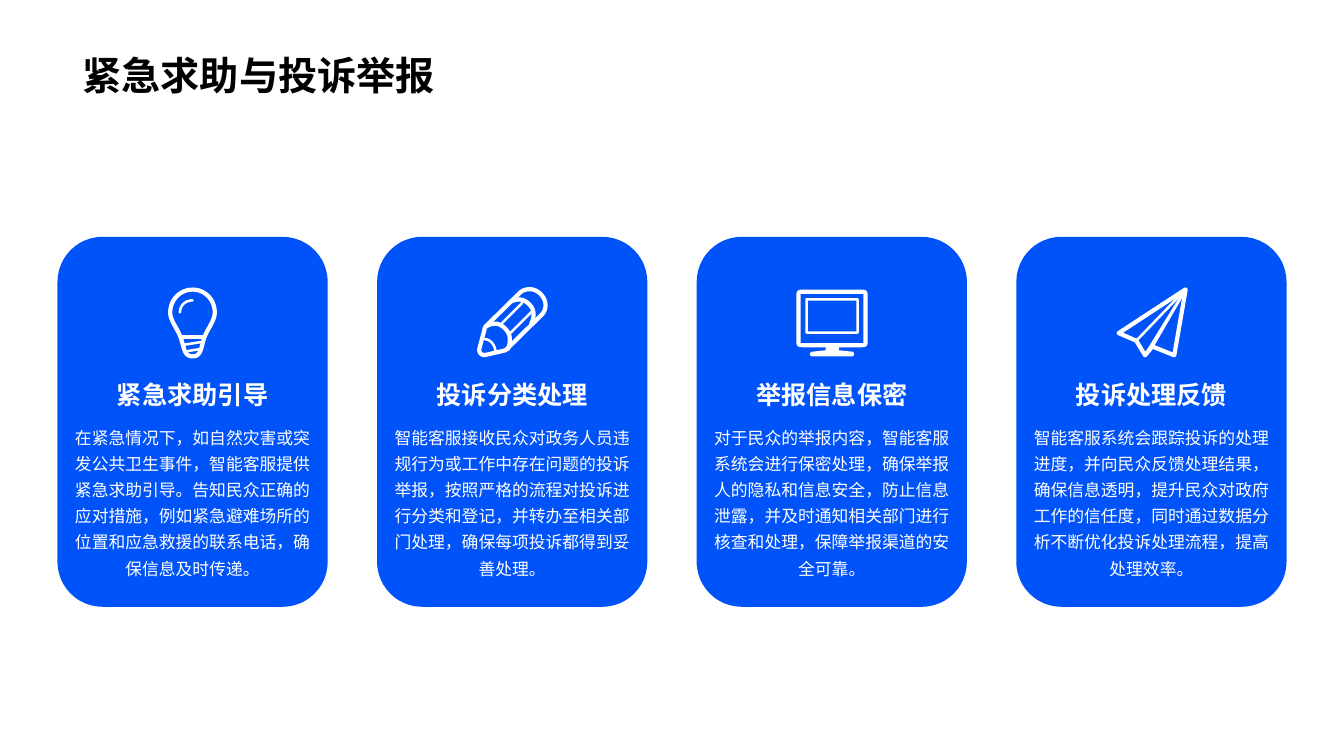
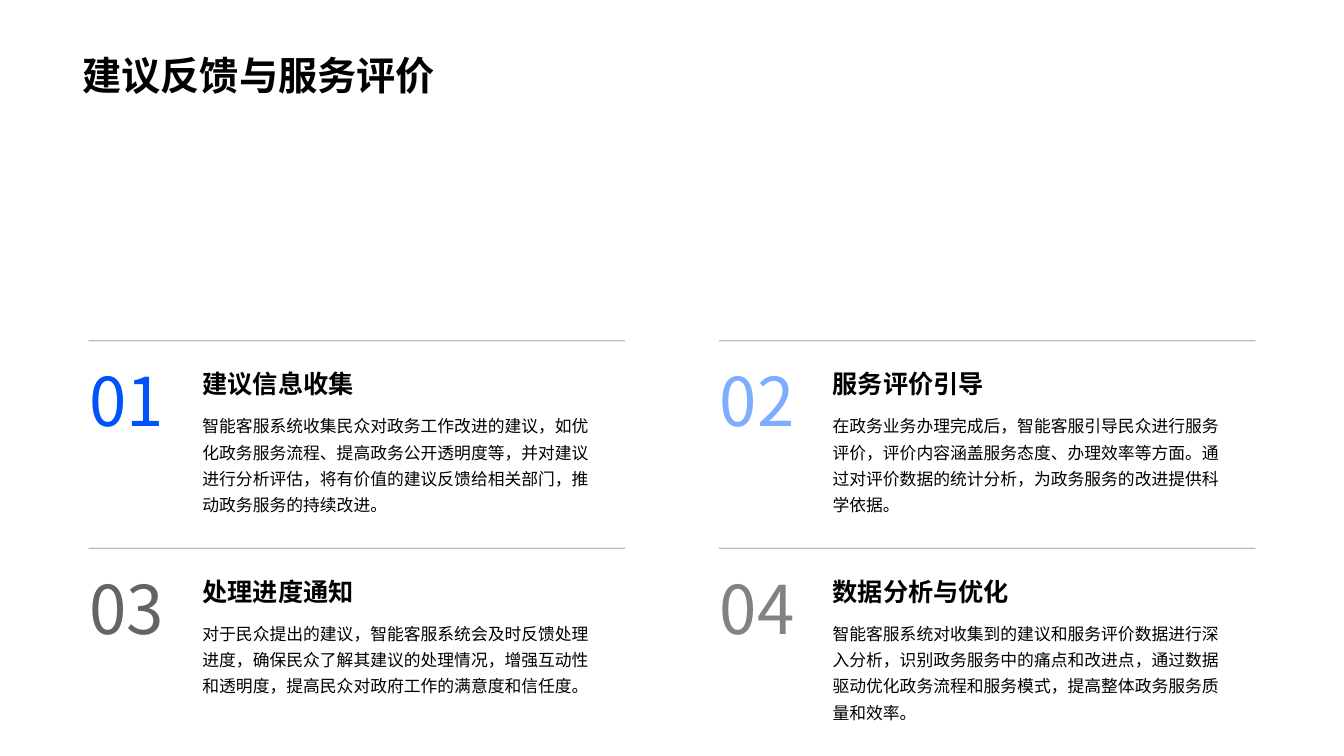
from lxml import etree
from pptx import Presentation
from pptx.dml.color import RGBColor
from pptx.enum.shapes import MSO_CONNECTOR as CONN, MSO_SHAPE as SHAPE
from pptx.enum.text import MSO_ANCHOR as ANCHOR, PP_ALIGN as ALIGN
from pptx.oxml.ns import qn
from pptx.util import Inches, Pt

# Shared style
FONT = "Noto Sans CJK JP"
BLACK = RGBColor(0x00, 0x00, 0x00)
WHITE = RGBColor(0xFF, 0xFF, 0xFF)
BLUE = RGBColor(0x00, 0x53, 0xF9)
SKY = RGBColor(0x7D, 0xAD, 0xFF)
DARK_GREY = RGBColor(0x64, 0x64, 0x64)
MID_GREY = RGBColor(0x82, 0x82, 0x82)
RULE_GREY = RGBColor(0x80, 0x80, 0x80)
TITLE_SIZE, NUMBER_SIZE, HEAD_SIZE, BODY_SIZE = 28, 48, 18, 12
HEAD_H = 0.43

# Content
CARDS_TITLE = "紧急求助与投诉举报"
CARDS = [
    ("bulb", "紧急求助引导",
     "在紧急情况下，如自然灾害或突发公共卫生事件，智能客服提供紧急求助引导。"
     "告知民众正确的应对措施，例如紧急避难场所的位置和应急救援的联系电话，确保信息及时传递。"),
    ("pencil", "投诉分类处理",
     "智能客服接收民众对政务人员违规行为或工作中存在问题的投诉举报，"
     "按照严格的流程对投诉进行分类和登记，并转办至相关部门处理，确保每项投诉都得到妥善处理。"),
    ("monitor", "举报信息保密",
     "对于民众的举报内容，智能客服系统会进行保密处理，确保举报人的隐私和信息安全，"
     "防止信息泄露，并及时通知相关部门进行核查和处理，保障举报渠道的安全可靠。"),
    ("plane", "投诉处理反馈",
     "智能客服系统会跟踪投诉的处理进度，并向民众反馈处理结果，确保信息透明，"
     "提升民众对政府工作的信任度，同时通过数据分析不断优化投诉处理流程，提高处理效率。"),
]
ITEMS_TITLE = "建议反馈与服务评价"
ITEMS = [
    (BLUE, "建议信息收集",
     "智能客服系统收集民众对政务工作改进的建议，如优化政务服务流程、提高政务公开透明度等，"
     "并对建议进行分析评估，将有价值的建议反馈给相关部门，推动政务服务的持续改进。"),
    (SKY, "服务评价引导",
     "在政务业务办理完成后，智能客服引导民众进行服务评价，评价内容涵盖服务态度、办理效率等方面。"
     "通过对评价数据的统计分析，为政务服务的改进提供科学依据。"),
    (DARK_GREY, "处理进度通知",
     "对于民众提出的建议，智能客服系统会及时反馈处理进度，确保民众了解其建议的处理情况，"
     "增强互动性和透明度，提高民众对政府工作的满意度和信任度。"),
    (MID_GREY, "数据分析与优化",
     "智能客服系统对收集到的建议和服务评价数据进行深入分析，识别政务服务中的痛点和改进点，"
     "通过数据驱动优化政务流程和服务模式，提高整体政务服务质量和效率。"),
]


def rounded(l, t, r, b, c):
    """Outline of a rounded rectangle with corner size c."""
    return [(l + c, t), (r - c, t), (r, t, r, t, r, t + c), (r, b - c),
            (r, b, r, b, r - c, b), (l + c, b), (l, b, l, b, l, b - c),
            (l, t + c), (l, t, l, t, l + c, t)]


# Icons on a 70 x 70 grid: (line width, points); six numbers are a cubic
# curve, and width 0 means a filled outline
THICK, THIN = 3, 1.8
ICONS = {
    "bulb": [
        (THICK, [(35, 2.3), (23, 2.3, 12.8, 12, 12.8, 25),
                 (12.8, 33, 20, 41, 23.3, 50), (27, 62, 27, 68.5, 35, 68.5),
                 (43, 68.5, 43, 62, 46.5, 50), (50, 41, 57, 33, 57, 25),
                 (57, 12, 47, 2.3, 35, 2.3)]),
        (THICK, [(24, 49), (46, 49)]),
        (THIN, [(27, 57), (43, 54.5)]),
        (THIN, [(29, 63.5), (41, 61.5)]),
        (THIN, [(22.5, 25), (22.5, 18, 28, 13, 35, 13)]),
    ],
    "pencil": [
        (THICK, [(8.5, 39), (42.5, 5.5), (48, 0.5, 57, 0.5, 63, 6.5),
                 (69.5, 13, 69.5, 21.5, 64.5, 27), (30.5, 60.5),
                 (29.5, 61.5, 29, 62.3, 28, 62.6), (9, 67),
                 (5, 68, 1.5, 65, 2.5, 60.5), (7.5, 42),
                 (7.5, 41, 8, 40, 8.5, 39)]),
        (THICK, [(34, 14), (43, 10, 48, 13, 52, 17),
                 (56, 21, 58, 27, 54, 36)]),
        (THICK, [(9, 39), (17, 34, 23, 36, 28, 41),
                 (33, 46, 34, 52, 31, 61)]),
        (THIN, [(24, 36.5), (45, 15.5)]),
        (THIN, [(33.5, 45), (54, 24.5)]),
        (THIN, [(7, 51.5), (12, 51, 18, 56, 18.5, 64)]),
    ],
    "monitor": [
        (THICK, rounded(2, 4.5, 68.5, 57.5, 5)),
        (THIN, rounded(10, 12, 60.5, 45, 1)),
        (0, [(29, 59), (42, 59), (42, 62.5), (56, 64),
             (58, 66, 57, 68.5, 55, 68.5), (16, 68.5),
             (12.5, 68.5, 12.5, 65, 15, 64), (29, 62.5), (29, 59)]),
    ],
    "plane": [
        (THICK, [(69, 2), (2.5, 45.5), (20, 53), (28.7, 67.5), (36, 58.8),
                 (57.7, 67.5), (69, 2)]),
        (THIN, [(20, 53), (69, 2)]),
        (THIN, [(29, 67), (69, 2)]),
        (THIN, [(36, 58.8), (69, 2)]),
    ],
}


def add_text(slide, box, text, size, color=BLACK, bold=False,
             align=ALIGN.LEFT, anchor=ANCHOR.MIDDLE, spacing=None, wrap=True):
    tf = slide.shapes.add_textbox(*map(Inches, box)).text_frame
    tf.word_wrap = wrap
    tf.vertical_anchor = anchor
    p = tf.paragraphs[0]
    p.text = text
    p.alignment = align
    if spacing:
        p.line_spacing = spacing
    r = p.runs[0]
    r.font.size, r.font.bold, r.font.name = Pt(size), bold, FONT
    r.font.color.rgb = color
    etree.SubElement(r.font._element, qn("a:ea")).set("typeface", FONT)


def add_entry(slide, x, y, width, body_h, head, body, color, align):
    """Bold heading with its paragraph right below."""
    add_text(slide, (x, y, width, HEAD_H), head, HEAD_SIZE, color, True, align)
    add_text(slide, (x, y + HEAD_H, width, body_h), body, BODY_SIZE, color,
             align=align, anchor=ANCHOR.TOP, spacing=1.3)


def flatten(points, steps=12):
    """Replace the cubic curves by short straight pieces."""
    flat = [points[0]]
    for pt in points[1:]:
        if len(pt) == 2:
            flat.append(pt)
            continue
        ctrl = [flat[-1], pt[:2], pt[2:4], pt[4:]]
        for i in range(1, steps + 1):
            t = i / steps
            weights = ((1 - t) ** 3, 3 * t * (1 - t) ** 2,
                       3 * t * t * (1 - t), t ** 3)
            flat.append(tuple(sum(w * c[k] for w, c in zip(weights, ctrl))
                              for k in (0, 1)))
    return flat


def add_icon(slide, name, x, y):
    for width, points in ICONS[name]:
        pts = [(Inches(x + px / 100), Inches(y + py / 100))
               for px, py in flatten(points)]
        builder = slide.shapes.build_freeform(*pts[0])
        builder.add_line_segments(pts[1:], close=points[0] == points[-1][-2:])
        s = builder.convert_to_shape()
        s.shadow.inherit = False
        if not width:
            s.fill.solid()
            s.fill.fore_color.rgb = WHITE
            s.line.fill.background()
            continue
        s.fill.background()
        s.line.color.rgb = WHITE
        s.line.width = Pt(width)
        ln = s._element.spPr.find(qn("a:ln"))
        ln.set("cap", "rnd")
        etree.SubElement(ln, qn("a:round"))


def add_rule(slide, x, y, width):
    s = slide.shapes.add_connector(
        CONN.STRAIGHT, *map(Inches, (x, y, x + width, y)))
    s.line.color.rgb = RULE_GREY
    s.line.width = Pt(1)
    sp_pr = s._element.spPr
    clr = next(sp_pr.iter(qn("a:srgbClr")))
    etree.SubElement(clr, qn("a:alpha")).set("val", "50000")
    etree.SubElement(sp_pr, qn("a:effectLst"))


def new_slide(prs, title):
    slide = prs.slides.add_slide(prs.slide_layouts[6])
    add_text(slide, (0.72, 0.46, 11.67, 0.57), title, TITLE_SIZE, bold=True)
    return slide


def build_cards(prs):
    slide = new_slide(prs, CARDS_TITLE)
    left, top, width, height, pitch = 0.57, 2.35, 2.68, 3.67, 3.17
    for i, (icon, head, body) in enumerate(CARDS):
        x = left + i * pitch
        s = slide.shapes.add_shape(
            SHAPE.ROUNDED_RECTANGLE, *map(Inches, (x, top, width, height)))
        s.shadow.inherit = False
        s.fill.solid()
        s.fill.fore_color.rgb = BLUE
        s.line.fill.background()
        add_icon(slide, icon, x + width / 2 - 0.35, top + 0.5)
        add_entry(slide, x, top + 1.35, width, 1.89, head, body, WHITE,
                  ALIGN.CENTER)


def build_items(prs):
    slide = new_slide(prs, ITEMS_TITLE)
    left, top, col_pitch, row_pitch = 0.88, 3.38, 6.25, 2.06
    for i, (color, head, body) in enumerate(ITEMS):
        row, col = divmod(i, 2)
        x, y = left + col * col_pitch, top + row * row_pitch
        add_rule(slide, x, y, 5.32)
        add_text(slide, (x - 0.09, y + 0.13, 0.94, 0.91), f"{i + 1:02}",
                 NUMBER_SIZE, color, wrap=False)
        add_entry(slide, x + 1.03, y + 0.21, 4.04, 1.24, head, body, BLACK,
                  ALIGN.LEFT)


def main():
    prs = Presentation()
    prs.slide_width, prs.slide_height = Inches(13.33), Inches(7.5)
    build_cards(prs)
    build_items(prs)
    prs.save("out.pptx")


if __name__ == "__main__":
    main()
